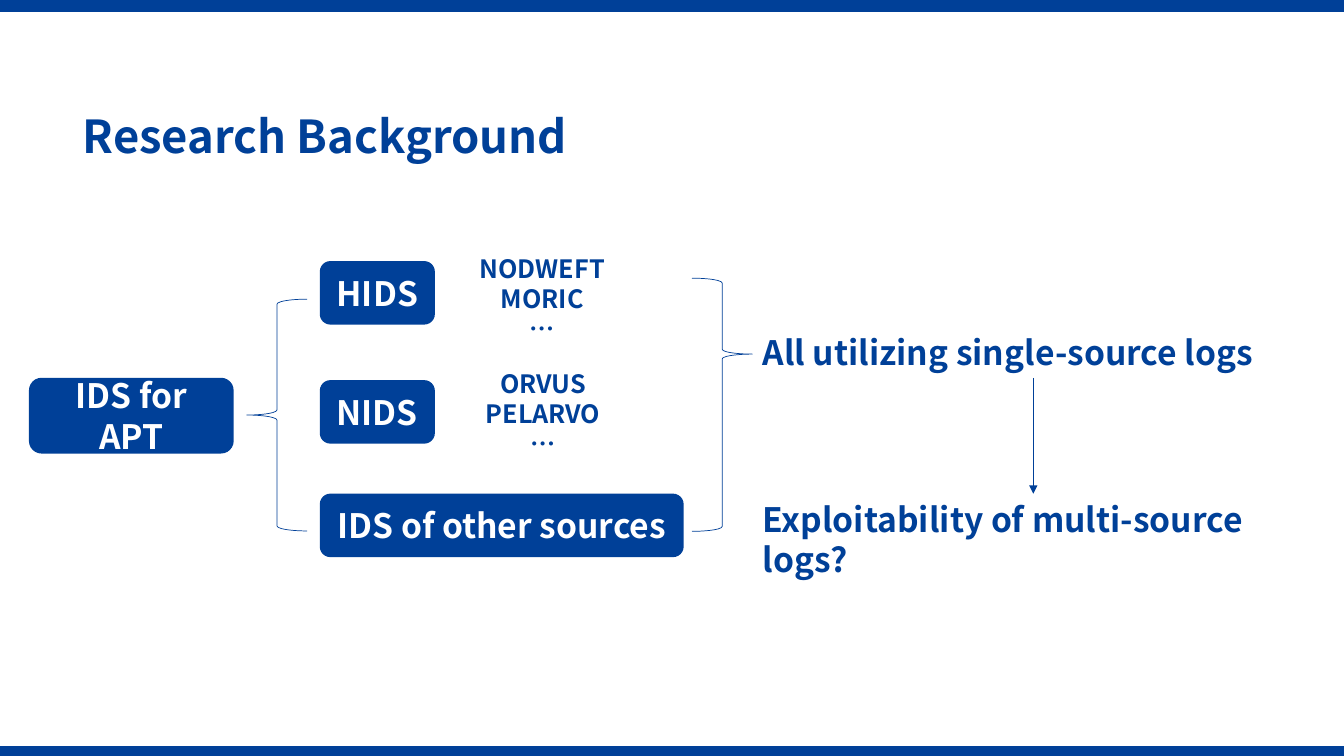
"""Build the research background slide on intrusion detection for APT."""
from lxml.etree import SubElement
from pptx import Presentation
from pptx.dml.color import RGBColor
from pptx.enum.shapes import MSO_CONNECTOR, MSO_SHAPE
from pptx.enum.text import MSO_ANCHOR, MSO_AUTO_SIZE, PP_ALIGN
from pptx.oxml.ns import qn
from pptx.util import Cm, Pt

FONT = "Noto Sans CJK SC"
COLORS = {name: RGBColor.from_string(code) for name, code in
          {"blue": "004098", "white": "FFFFFF"}.items()}


def write(frame, text, size, color, align):
    """Fill a text frame and style each paragraph."""
    frame.word_wrap = True
    frame.text = text
    for para in frame.paragraphs:
        para.alignment = align
        font = para.font
        font.name, font.size, font.bold = FONT, Pt(size), True
        font.color.rgb = COLORS[color]
        props = para._p.pPr.find(qn("a:defRPr"))
        SubElement(props, qn("a:ea"), typeface=FONT)


def draw(kind, box, filled):
    """Add a preset shape, either filled or as a thin outline."""
    shape = slide.shapes.add_shape(kind, *map(Cm, box))
    shape.shadow.inherit = False
    if filled:
        shape.fill.solid()
        shape.fill.fore_color.rgb = COLORS["blue"]
        shape.line.fill.background()
    else:
        shape.fill.background()
        shape.line.color.rgb = COLORS["blue"]
        shape.line.width = Pt(0.5)
    return shape


deck = Presentation()
deck.slide_width, deck.slide_height = Cm(33.87), Cm(19.05)
slide = deck.slides.add_slide(deck.slide_layouts[5])

for top, height in [(18.8, 0.25), (0, 0.3)]:
    draw(MSO_SHAPE.RECTANGLE, (0, top, 33.87, height), True)

title = slide.shapes.title
title.left, title.top = Cm(1.83), Cm(2.7)
title.width, title.height = Cm(31.01), Cm(1.6)
write(title.text_frame, "Research Background", 32.4, "blue", PP_ALIGN.LEFT)
title.text_frame.vertical_anchor = MSO_ANCHOR.MIDDLE
title.text_frame.paragraphs[0].line_spacing = 0.9

nodes = [
    ("IDS for APT", (0.73, 9.52, 5.16, 1.91)),
    ("HIDS", (8.06, 6.58, 2.9, 1.6)),
    ("NIDS", (8.06, 9.58, 2.9, 1.6)),
    ("IDS of other sources", (8.06, 12.44, 9.17, 1.6)),
]
for text, box in nodes:
    node = draw(MSO_SHAPE.ROUNDED_RECTANGLE, box, True)
    node.text_frame.vertical_anchor = MSO_ANCHOR.MIDDLE
    write(node.text_frame, text, 24, "white", PP_ALIGN.CENTER)

draw(MSO_SHAPE.ARC, (8.26, 7.54, 0.13, 0.13), False)
draw(MSO_SHAPE.LEFT_BRACE, (6.22, 7.54, 1.52, 5.84), False)
brace = draw(MSO_SHAPE.RIGHT_BRACE, (17.44, 7.01, 1.52, 6.38), False)
brace.adjustments[0], brace.adjustments[1] = 0.08, 0.3

labels = [
    ("NODWEFT\vMORIC\n…", (11.61, 6.25, 4.11, 2.57), 18, PP_ALIGN.CENTER),
    ("ORVUS\nPELARVO\n…", (11.92, 9.15, 3.53, 2.57), 18, PP_ALIGN.CENTER),
    ("All utilizing single-source logs",
     (18.97, 8.24, 14.15, 1.27), 24, PP_ALIGN.LEFT),
    ("Exploitability of multi-source logs?",
     (18.97, 12.45, 14.15, 1.27), 24, PP_ALIGN.LEFT),
]
for text, box, size, align in labels:
    frame = slide.shapes.add_textbox(*map(Cm, box)).text_frame
    write(frame, text, size, "blue", align)
    frame.auto_size = MSO_AUTO_SIZE.SHAPE_TO_FIT_TEXT

arrow = slide.shapes.add_connector(
    MSO_CONNECTOR.STRAIGHT, Cm(26.04), Cm(9.52), Cm(26.04), Cm(12.44))
arrow.line.color.rgb = COLORS["blue"]
arrow.line.width = Pt(0.5)
SubElement(arrow.line._get_or_add_ln(), qn("a:tailEnd"), type="triangle")
SubElement(arrow._element.spPr, qn("a:effectLst"))

deck.save("out.pptx")
